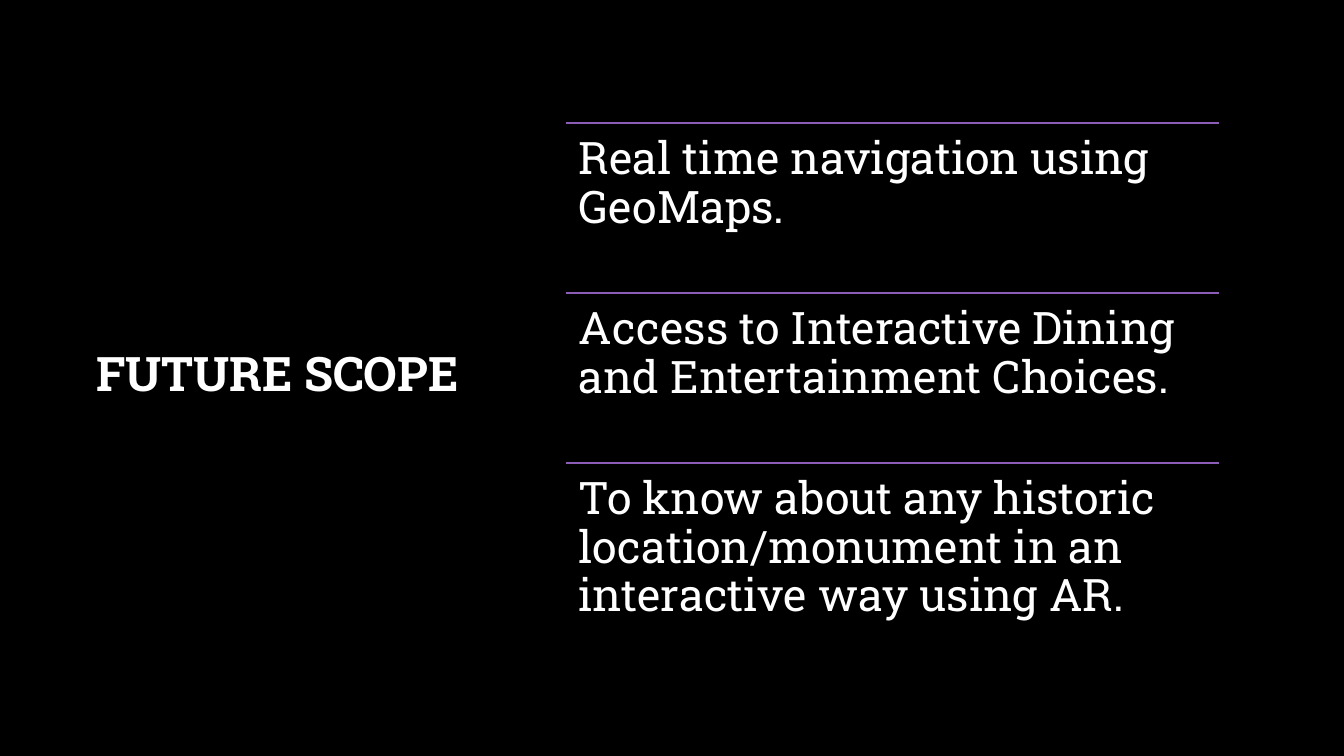
from dataclasses import dataclass

from pptx import Presentation
from pptx.dml.color import RGBColor
from pptx.enum.shapes import MSO_CONNECTOR
from pptx.enum.text import MSO_ANCHOR, MSO_AUTO_SIZE, PP_ALIGN
from pptx.oxml.ns import qn
from pptx.util import Inches, Pt
from lxml.etree import SubElement


@dataclass(frozen=True)
class Theme:
    background: RGBColor = RGBColor(0x00, 0x00, 0x00)
    text: RGBColor = RGBColor(0xFF, 0xFF, 0xFF)
    rule: RGBColor = RGBColor(0x8C, 0x5D, 0xB7)
    font: str = "Roboto Slab"
    title_size: Pt = Pt(34)
    item_size: Pt = Pt(32)
    rule_width: Pt = Pt(1.5)
    line_spacing: float = 0.9


THEME = Theme()

SCOPE_ITEMS = [
    "Real time navigation using GeoMaps.",
    "Access to Interactive Dining and Entertainment Choices.",
    "To know about any historic location/monument in an interactive way using AR.",
]

# Geometry of the item list, in inches
LIST_LEFT, LIST_TOP = 5.61, 1.22
LIST_WIDTH, ITEM_HEIGHT = 6.48, 1.686
ITEM_INSET = 0.13


def write_text(frame, text, size, bold=False, align=PP_ALIGN.LEFT):
    frame.word_wrap = True
    frame.auto_size = MSO_AUTO_SIZE.NONE
    paragraph = frame.paragraphs[0]
    paragraph.alignment = align
    paragraph.line_spacing = THEME.line_spacing
    run = paragraph.add_run()
    run.text = text
    run.font.name = THEME.font
    run.font.size = size
    run.font.bold = bold
    run.font.color.rgb = THEME.text


def place_title(slide, text):
    title = slide.shapes.title
    title.left, title.top = Inches(0.82), Inches(0.67)
    title.width, title.height = Inches(3.98), Inches(6.13)
    title.text_frame.vertical_anchor = MSO_ANCHOR.MIDDLE
    write_text(title.text_frame, text, THEME.title_size, True, PP_ALIGN.CENTER)


def add_rule(slide, left, top, width):
    rule = slide.shapes.add_connector(
        MSO_CONNECTOR.STRAIGHT,
        Inches(left), Inches(top), Inches(left + width), Inches(top),
    )
    rule.line.color.rgb = THEME.rule
    rule.line.width = THEME.rule_width
    SubElement(rule._element.spPr, qn("a:effectLst"))


def add_item(slide, text, top):
    add_rule(slide, LIST_LEFT, top, LIST_WIDTH)
    box = slide.shapes.add_textbox(
        Inches(LIST_LEFT), Inches(top), Inches(LIST_WIDTH), Inches(ITEM_HEIGHT)
    )
    frame = box.text_frame
    frame.margin_left = frame.margin_right = Inches(ITEM_INSET)
    frame.margin_top = frame.margin_bottom = Inches(ITEM_INSET)
    frame.vertical_anchor = MSO_ANCHOR.TOP
    write_text(frame, text, THEME.item_size)


def main():
    presentation = Presentation()
    presentation.slide_width = Inches(13.33)
    presentation.slide_height = Inches(7.5)
    slide = presentation.slides.add_slide(presentation.slide_layouts.get_by_name("Title Only"))

    # Background
    slide.background.fill.solid()
    slide.background.fill.fore_color.rgb = THEME.background

    # Title on the left
    place_title(slide, "FUTURE SCOPE ")

    # Ruled list on the right
    for index, text in enumerate(SCOPE_ITEMS):
        add_item(slide, text, LIST_TOP + index * ITEM_HEIGHT)

    presentation.save("out.pptx")


if __name__ == "__main__":
    main()
